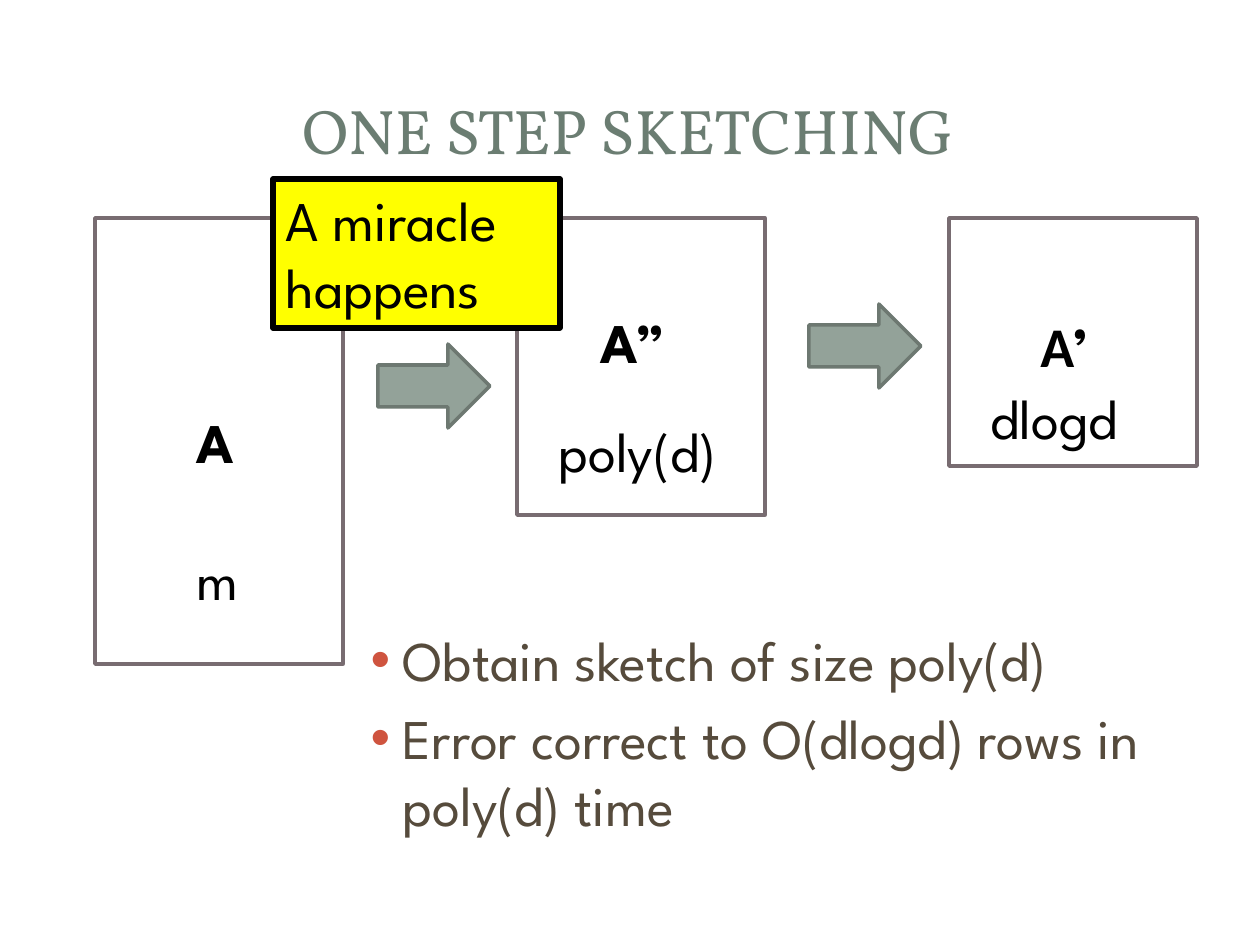
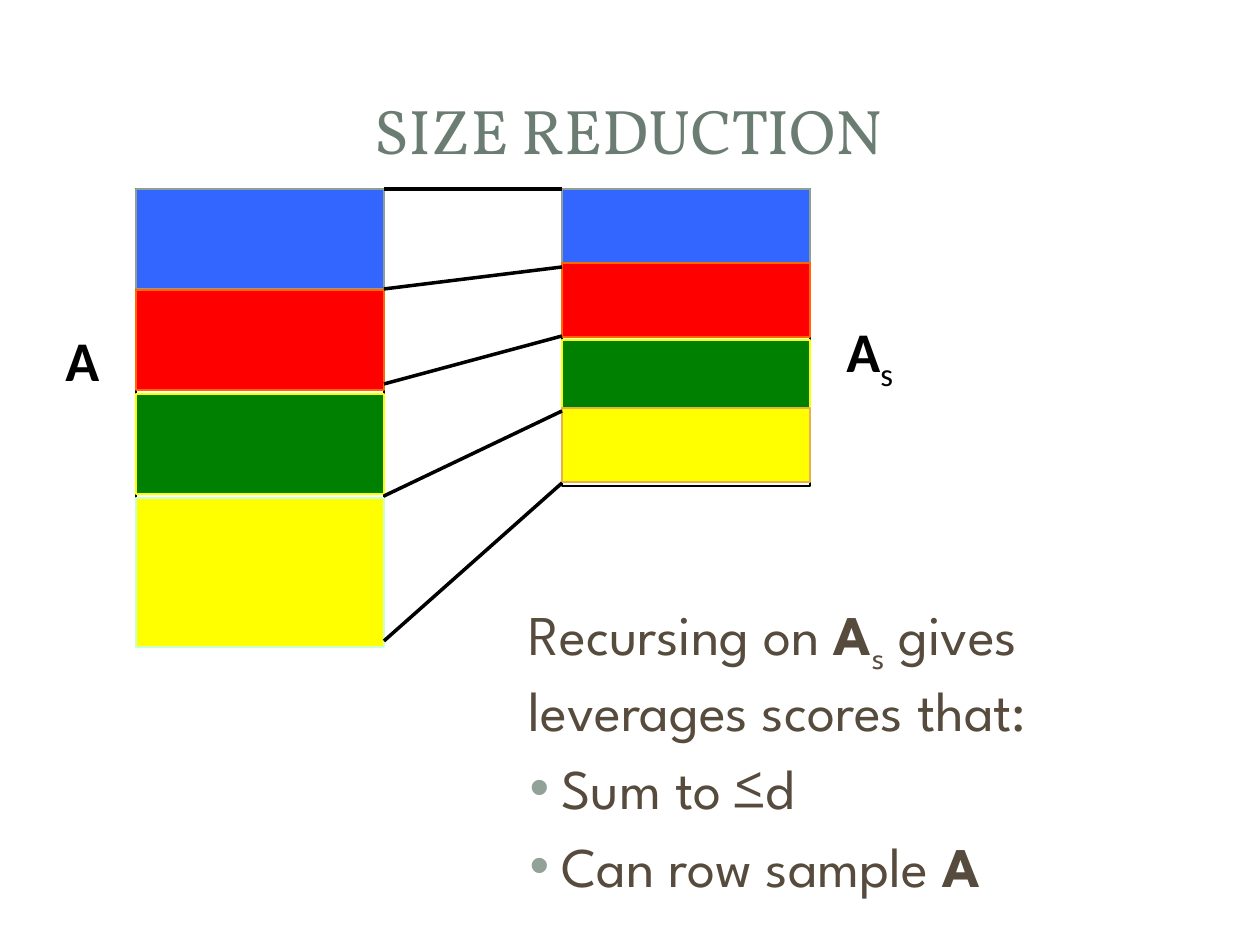
from lxml import etree
from pptx import Presentation
from pptx.dml.color import RGBColor
from pptx.enum.shapes import MSO_CONNECTOR, MSO_SHAPE
from pptx.enum.text import MSO_ANCHOR, MSO_AUTO_SIZE, PP_ALIGN
from pptx.oxml.ns import qn
from pptx.util import Emu, Pt

PX = 914400 / 126
RECT, ARROW = MSO_SHAPE.RECTANGLE, MSO_SHAPE.RIGHT_ARROW
STRAIGHT = MSO_CONNECTOR.STRAIGHT
TOP, MIDDLE = MSO_ANCHOR.TOP, MSO_ANCHOR.MIDDLE
LEFT, CENTER = PP_ALIGN.LEFT, PP_ALIGN.CENTER
NO_FIT = MSO_AUTO_SIZE.NONE

SANS, SERIF, LABEL = "League Spartan", "Vollkorn", "Calibri"
COLORS = {
    "title": "6B7D72", "body": "564B3C", "black": "000000",
    "sage": "93A299", "sage_edge": "6D7871", "rust": "CF543F",
    "matrix_edge": "786C71", "blue": "3366FF", "blue_edge": "8F9F96",
    "red": "FF0000", "orange": "FF6600", "green": "008000",
    "yellow": "FFFF00", "mint": "CCFFCC", "gold": "E7B248",
}
BOLD, SUB = {"bold": True}, {"sub": True}


def write(p, text, size=32, font=SANS, color="black", bold=False, sub=False):
    r = p.add_run()
    r.text = text
    r.font.size, r.font.name, r.font.bold = Pt(size), font, bold
    r.font.color.rgb = RGBColor.from_string(COLORS[color])
    if sub:
        r._r.get_or_add_rPr().set("baseline", "-25000")


def add_box(slide, kind, at, line, weight, fill=None):
    sp = slide.shapes.add_shape(kind, *[Emu(round(v * PX)) for v in at])
    sp.shadow.inherit = False
    if fill:
        sp.fill.solid()
        sp.fill.fore_color.rgb = RGBColor.from_string(COLORS[fill])
    else:
        sp.fill.background()
    sp.line.color.rgb = RGBColor.from_string(COLORS[line])
    sp.line.width = Pt(weight)
    return sp


prs = Presentation()
prs.slide_width, prs.slide_height = Emu(round(1260 * PX)), Emu(round(945 * PX))

TITLE_AT = (59, 57, 1138, 144)
HANG = 32
# List paragraphs: left margin of the text in px, bullet colour or None, runs
# Labels: left, top, width, runs
decks = [
    {
        "title": "ONE STEP SKETCHING",
        "body_at": (302, 619, 924, 239),
        "list": [
            (88, "rust", [("Obtain sketch of size poly(d)", {})]),
            (88, "rust", [("Error correct to O(dlogd) rows in poly(d) time", {})]),
        ],
        "labels": [
            (184, 401, 68, [("A", BOLD)]),
            (1028, 305, 87, [("A", {"bold": True, "font": LABEL}), ("’", BOLD)]),
            (588, 301, 105, [("A”", BOLD)]),
            (184, 538, 68, [("m", {})]),
            (546, 410, 238, [("poly(d)", {})]),
            (978, 377, 190, [("dlogd", {})]),
        ],
    },
    {
        "title": "SIZE REDUCTION",
        "body_at": (501, 593, 643, 305),
        "list": [
            (15, None, [("Recursing on ", {}), ("A", BOLD), ("s", SUB),
                        (" gives leverages scores that:", {})]),
            (48, "sage", [("Sum to ≤d", {})]),
            (48, "sage", [("Can row sample ", {}), ("A", BOLD)]),
        ],
        "labels": [
            (53, 319, 95, [("A", {"bold": True, "font": LABEL})]),
            (834, 310, 78, [("A", {"bold": True, "font": LABEL}),
                            ("s", {"sub": True, "font": LABEL})]),
        ],
    },
]

# Titles, lists and labels
slides = []
for deck in decks:
    slide = prs.slides.add_slide(prs.slide_layouts[1])
    slides.append(slide)
    title, body = slide.placeholders
    for sp, at, anchor in ((title, TITLE_AT, MIDDLE), (body, deck["body_at"], TOP)):
        sp.left, sp.top, sp.width, sp.height = [Emu(round(v * PX)) for v in at]
        sp.text_frame.auto_size = NO_FIT
        sp.text_frame.vertical_anchor = anchor
    p = title.text_frame.paragraphs[0]
    p.alignment = CENTER
    write(p, deck["title"], size=36, font=SERIF, color="title")

    tf = body.text_frame
    for i, (margin, bullet, runs) in enumerate(deck["list"]):
        p = tf.add_paragraph() if i else tf.paragraphs[0]
        pPr = p._p.get_or_add_pPr()
        pPr.set("marL", str(round(margin * PX)))
        pPr.set("indent", str(round(-HANG * PX) if bullet else 0))
        if bullet:
            clr = etree.SubElement(pPr, qn("a:buClr"))
            etree.SubElement(clr, qn("a:srgbClr")).set("val", COLORS[bullet])
            etree.SubElement(pPr, qn("a:buFont")).set("typeface", "Arial")
            etree.SubElement(pPr, qn("a:buChar")).set("char", "•")
        else:
            etree.SubElement(pPr, qn("a:buNone"))
        p.space_before = Pt(6 if i else 0)
        for text, style in runs:
            write(p, text, color="body", **style)

    for x, y, w, runs in deck["labels"]:
        sp = slide.shapes.add_textbox(*[Emu(round(v * PX)) for v in (x, y, w, 81)])
        sp.text_frame.word_wrap = True
        for text, style in runs:
            write(sp.text_frame.paragraphs[0], text, **style)

sketching, reduction = slides
MATRIX_W = 248

# Slide 1: three matrices, the arrows between them and the callout
for x, h in ((95, 446), (517, 297), (949, 248)):
    add_box(sketching, RECT, (x, 218, MATRIX_W, h), "matrix_edge", 2)
for x, y in ((378, 344), (809, 304)):
    add_box(sketching, ARROW, (x, y, 112, 84), "sage_edge", 2, "sage")
callout = add_box(sketching, RECT, (273, 179, 287, 149), "black", 3, "yellow")
tf = callout.text_frame
tf.word_wrap, tf.vertical_anchor = True, TOP
tf.paragraphs[0].alignment = LEFT
write(tf.paragraphs[0], "A miracle happens")

# Slide 2: both matrices as stacks of row blocks
STACK_TOP, LEFT_X, RIGHT_X = 189, 136, 562
fills = ("blue", "red", "green", "yellow")
stacks = [
    (LEFT_X, 446, (189, 290, 394, 498), (100, 100, 100, 149), "mint"),
    (RIGHT_X, 297, (189, 263, 340, 408), (74, 74, 74, 74), "gold"),
]
for x, height, tops, heights, last_edge in stacks:
    add_box(reduction, RECT, (x, STACK_TOP, MATRIX_W, height), "black", 0.75)
    edges = ("blue_edge", "orange", "yellow", last_edge)
    for y, h, fill, edge in zip(tops, heights, fills, edges):
        add_box(reduction, RECT, (x, y, MATRIX_W, h), edge, 0.75, fill)

# Lines joining matching block borders
for y1, y2 in ((189, 189), (289, 267), (384, 336), (496, 411), (641, 483)):
    ends = (LEFT_X + MATRIX_W, y1, RIGHT_X, y2)
    cx = reduction.shapes.add_connector(STRAIGHT, *[Emu(round(v * PX)) for v in ends])
    cx.line.color.rgb = RGBColor.from_string(COLORS["black"])
    cx.line.width = Pt(2)
    etree.SubElement(cx._element.spPr, qn("a:effectLst"))

prs.save("out.pptx")
